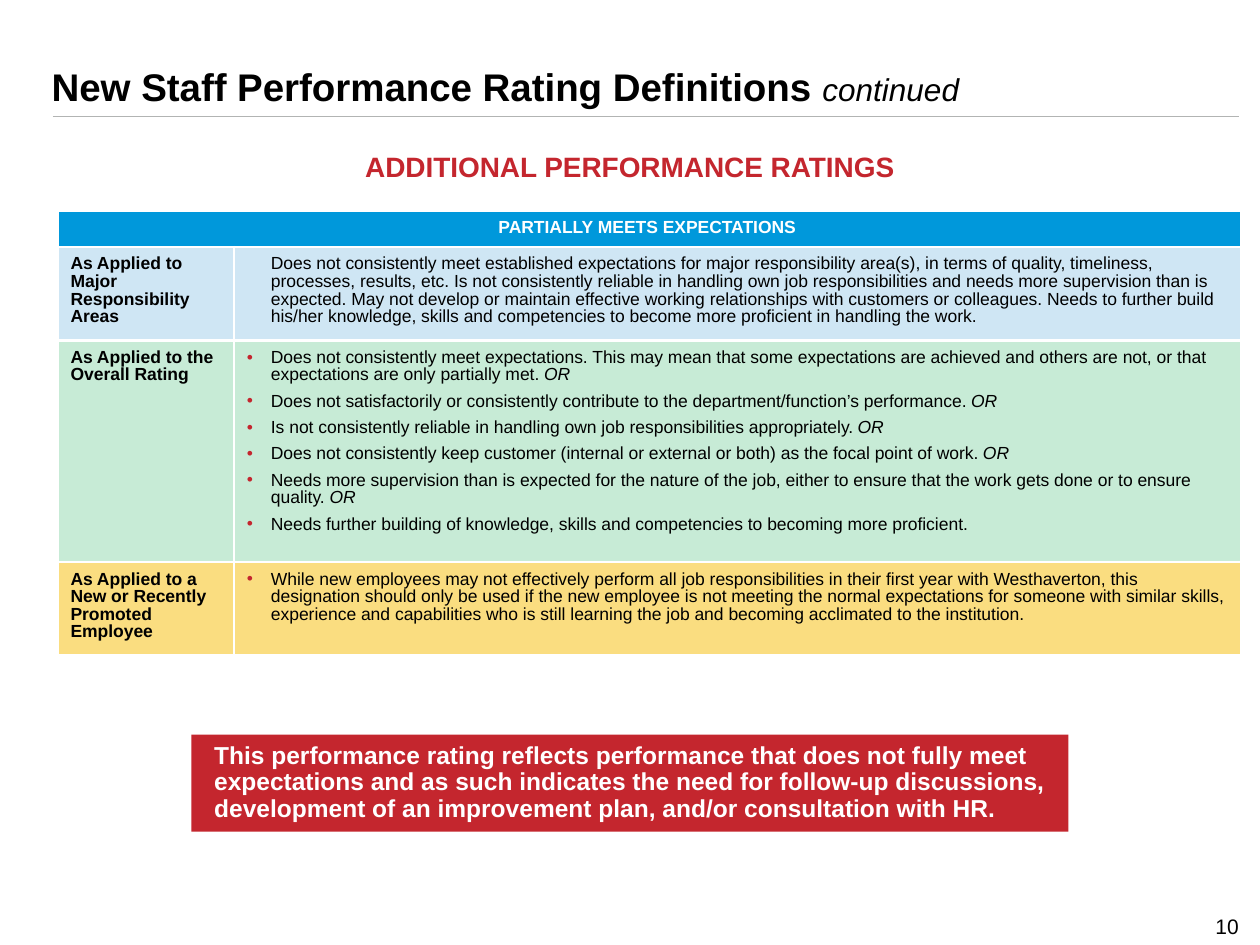
from lxml.etree import SubElement
from pptx import Presentation
from pptx.dml.color import RGBColor
from pptx.enum.shapes import MSO_CONNECTOR, MSO_SHAPE
from pptx.enum.text import MSO_ANCHOR, MSO_AUTO_SIZE, PP_ALIGN
from pptx.oxml.ns import qn
from pptx.util import Inches, Pt

COLORS = {
    "black": "000000", "white": "FFFFFF", "red": "C4262E", "gray": "B2B4B3",
    "header": "0098DB", "blue": "A0CFEB", "green": "91D8AE", "yellow": "FADD80",
}


def add_span(para, text, size, color="black", bold=False, italic=False):
    para.line_spacing = 0.9
    span = para.add_run()
    span.text = text
    span.font.name = "Arial"
    span.font.size = Pt(size)
    span.font.bold = bold
    span.font.italic = italic
    span.font.color.rgb = RGBColor.from_string(COLORS[color])


def format_cell(cell, color, alpha=100):
    cell.margin_left = cell.margin_right = Inches(0.1)
    cell.margin_top = cell.margin_bottom = Inches(0.07)
    cell.fill.solid()
    cell.fill.fore_color.rgb = RGBColor.from_string(COLORS[color])
    props = cell._tc.get_or_add_tcPr()
    if alpha < 100:
        shade = props.find(qn("a:solidFill")).find(qn("a:srgbClr"))
        SubElement(shade, qn("a:alpha"), val=str(alpha * 1000))
    for position, side in enumerate(("a:lnL", "a:lnR", "a:lnT", "a:lnB")):
        border = SubElement(props, qn(side), w=str(Pt(1.5)))
        fill = SubElement(border, qn("a:solidFill"))
        SubElement(fill, qn("a:srgbClr"), val=COLORS["white"])
        props.insert(position, border)


deck = Presentation()
deck.slide_width, deck.slide_height = Inches(10), Inches(7.5)
page = deck.slides.add_slide(deck.slide_layouts[5])

rule = page.shapes.add_connector(
    MSO_CONNECTOR.STRAIGHT, Inches(0.42), Inches(0.92), Inches(9.83), Inches(0.92))
rule.line.color.rgb = RGBColor.from_string(COLORS["gray"])
rule.line.width = Pt(0.25)
SubElement(rule._element.spPr, qn("a:effectLst"))

title = page.shapes.title
title.left, title.top = Inches(0.31), Inches(0.09)
title.width, title.height = Inches(9.5), Inches(0.83)
title.text_frame.auto_size = MSO_AUTO_SIZE.NONE
title.text_frame.vertical_anchor = MSO_ANCHOR.BOTTOM
para = title.text_frame.paragraphs[0]
para.alignment = PP_ALIGN.LEFT
add_span(para, "New Staff Performance Rating Definitions ", 22, bold=True)
add_span(para, "continued", 18, italic=True)

subtitle = page.shapes.add_textbox(Inches(2.8), Inches(1.17), Inches(4.43), Inches(0.34))
subtitle.text_frame.word_wrap = False
add_span(subtitle.text_frame.paragraphs[0], "ADDITIONAL PERFORMANCE RATINGS", 16, "red", bold=True)

ratings = [
    ("As Applied to Major Responsibility Areas", "blue", 50, False, [
        "Does not consistently meet established expectations for major responsibility area(s), "
        "in terms of quality, timeliness, processes, results, etc. Is not consistently reliable "
        "in handling own job responsibilities and needs more supervision than is expected. May "
        "not develop or maintain effective working relationships with customers or colleagues. "
        "Needs to further build his/her knowledge, skills and competencies to become more "
        "proficient in handling the work."]),
    ("As Applied to the Overall Rating", "green", 50, True, [
        "Does not consistently meet expectations. This may mean that some expectations are "
        "achieved and others are not, or that expectations are only partially met. ",
        "Does not satisfactorily or consistently contribute to the department/function’s "
        "performance. ",
        "Is not consistently reliable in handling own job responsibilities appropriately. ",
        "Does not consistently keep customer (internal or external or both) as the focal point "
        "of work. ",
        "Needs more supervision than is expected for the nature of the job, either to ensure "
        "that the work gets done or to ensure quality. ",
        "Needs further building of knowledge, skills and competencies to becoming more "
        "proficient."]),
    ("As Applied to a New or Recently Promoted Employee", "yellow", 100, True, [
        "While new employees may not effectively perform all job responsibilities in their first "
        "year with Westhaverton, this designation should only be used if the new employee is not "
        "meeting the normal expectations for someone with similar skills, experience and "
        "capabilities who is still learning the job and becoming acclimated to the institution."]),
]

table = page.shapes.add_table(
    4, 2, Inches(0.46), Inches(1.67), Inches(9.39), Inches(3.53)).table
for column, width in zip(table.columns, (1.4, 7.99)):
    column.width = Inches(width)
for row, height in zip(table.rows, (0.29, 0.74, 1.76, 0.74)):
    row.height = Inches(height)

header = table.cell(0, 0)
header.merge(table.cell(0, 1))
for cell in table.rows[0].cells:
    format_cell(cell, "header")
header.vertical_anchor = MSO_ANCHOR.MIDDLE
para = header.text_frame.paragraphs[0]
para.alignment = PP_ALIGN.CENTER
add_span(para, "PARTIALLY MEETS EXPECTATIONS ", 10, "white", bold=True)

for number, (label, color, alpha, bulleted, statements) in enumerate(ratings, 1):
    label_cell, text_cell = table.cell(number, 0), table.cell(number, 1)
    format_cell(label_cell, color, alpha)
    format_cell(text_cell, color, alpha)
    add_span(label_cell.text_frame.paragraphs[0], label, 10, bold=True)
    for index, statement in enumerate(statements):
        frame = text_cell.text_frame
        para = frame.add_paragraph() if index else frame.paragraphs[0]
        if index:
            para.space_before = Pt(5)
        add_span(para, statement, 10)
        if index < len(statements) - 1:
            add_span(para, "OR", 10, italic=True)
        props = para._p.get_or_add_pPr()
        props.set("marL", str(Inches(0.19)))
        props.set("indent", str(Inches(-0.19 if bulleted else 0)))
        if bulleted:
            bullet_color = SubElement(props, qn("a:buClr"))
            SubElement(bullet_color, qn("a:srgbClr"), val=COLORS["red"])
            SubElement(props, qn("a:buFont"), typeface="Arial")
            SubElement(props, qn("a:buChar"), char="•")

callout = page.shapes.add_shape(
    MSO_SHAPE.RECTANGLE, Inches(1.52), Inches(5.83), Inches(6.96), Inches(0.77))
callout.shadow.inherit = False
callout.fill.solid()
callout.fill.fore_color.rgb = RGBColor.from_string(COLORS["red"])
callout.line.fill.background()
frame = callout.text_frame
frame.word_wrap = True
frame.vertical_anchor = MSO_ANCHOR.MIDDLE
frame.margin_left = Inches(0.18)
frame.margin_right = frame.margin_top = frame.margin_bottom = Inches(0.07)
para = frame.paragraphs[0]
para.alignment = PP_ALIGN.LEFT
add_span(para, "This performance rating reflects performance that does not fully meet expectations "
         "and as such indicates the need for follow-up discussions, development of an improvement "
         "plan, and/or consultation with HR.", 14, "white", bold=True)

page_number = page.shapes.add_textbox(Inches(7.85), Inches(7.17), Inches(2.08), Inches(0.33))
page_number.text_frame.word_wrap = True
page_number.text_frame.vertical_anchor = MSO_ANCHOR.BOTTOM
para = page_number.text_frame.paragraphs[0]
para.alignment = PP_ALIGN.RIGHT
add_span(para, "10", 12)

deck.save("out.pptx")
